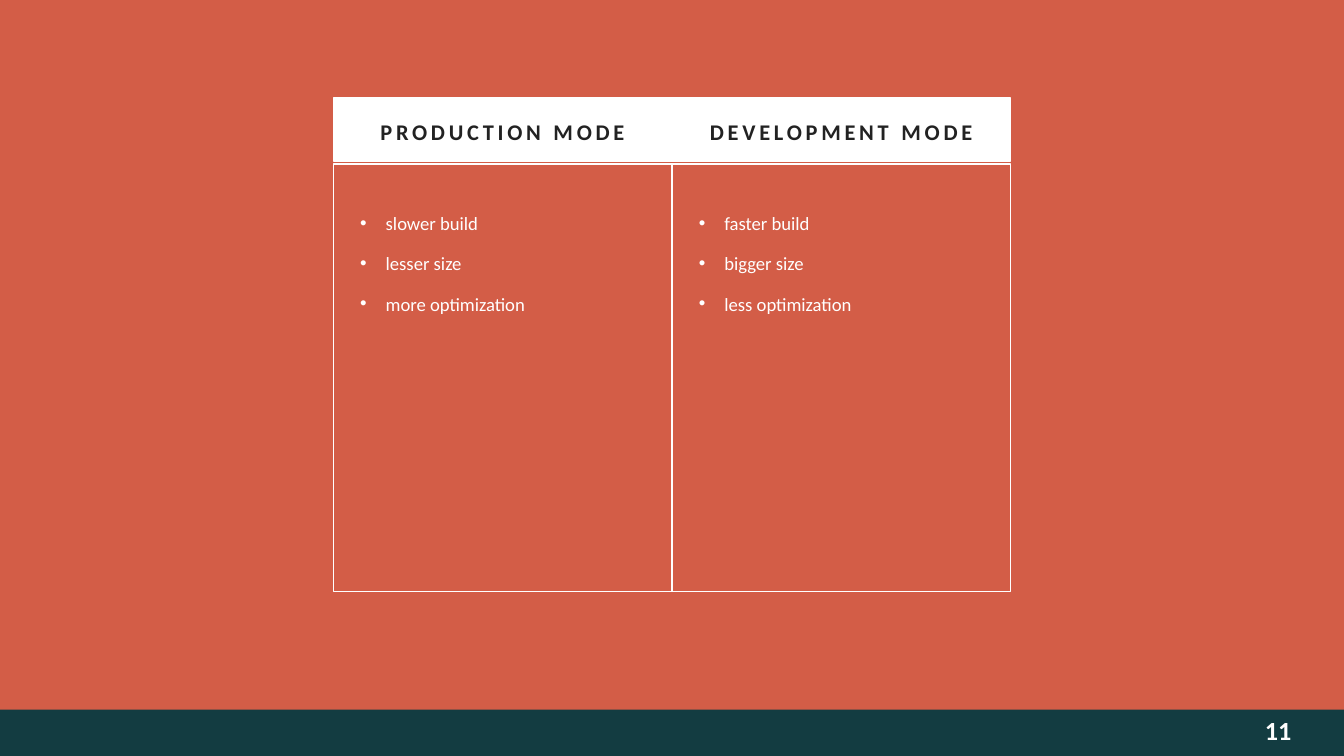
from lxml import etree
from pptx import Presentation
from pptx.dml.color import RGBColor
from pptx.enum import shapes, text
from pptx.oxml import ns
from pptx.util import Inches, Pt

MODES = [
    ("PRODUCTION MODE", ["slower build", "lesser size", "more optimization"]),
    ("DEVELOPMENT MODE", ["faster build", "bigger size", "less optimization"]),
]
SLIDE_NUMBER = "11"

CORAL = RGBColor(0xD3, 0x5D, 0x47)
TEAL = RGBColor(0x13, 0x3C, 0x41)
WHITE = RGBColor(0xFF, 0xFF, 0xFF)
OFF_WHITE = RGBColor(0xFE, 0xFE, 0xFE)
DARK = RGBColor(0x22, 0x22, 0x22)
FONT = "Calibri"

SLIDE_WIDTH = 10
SLIDE_HEIGHT = SLIDE_WIDTH * 9 / 16
COLUMN_WIDTH = 2.52
HEADER_TOP, HEADER_HEIGHT = 0.73, 0.47
BODY_TOP, BODY_HEIGHT = 1.22, 3.18
FOOTER_TOP, FOOTER_HEIGHT = 5.28, 0.35
BULLET_INDENT = 0.19


def add_box(slide, left, top, width, height, fill=None, line=None):
    shape = slide.shapes.add_shape(
        shapes.MSO_SHAPE.RECTANGLE, Inches(left), Inches(top), Inches(width), Inches(height)
    )
    shape.shadow.inherit = False
    if fill is None:
        shape.fill.background()
    else:
        shape.fill.solid()
        shape.fill.fore_color.rgb = fill
    if line is None:
        shape.line.fill.background()
    else:
        shape.line.color.rgb = line
        shape.line.width = Pt(0.75)
    return shape


def write(shape, lines, size, color, align, anchor, insets, bold=False, wrap=False):
    frame = shape.text_frame
    frame.text = "\n".join(lines)
    frame.word_wrap = wrap
    frame.vertical_anchor = anchor
    frame.margin_left, frame.margin_top, frame.margin_right, frame.margin_bottom = map(Inches, insets)
    for paragraph in frame.paragraphs:
        paragraph.alignment = align
        for run in paragraph.runs:
            run.font.name = FONT
            run.font.size = Pt(size)
            run.font.bold = bold
            run.font.color.rgb = color
    return frame.paragraphs


def space_lines(paragraphs):
    for index, paragraph in enumerate(paragraphs):
        paragraph.line_spacing = Pt(16)
        paragraph.space_before = Pt(2.6 if index else 0)
        paragraph.space_after = Pt(3)


def add_bullet(paragraph):
    properties = paragraph._p.get_or_add_pPr()
    properties.set("marL", str(Inches(BULLET_INDENT)))
    properties.set("indent", str(-Inches(BULLET_INDENT)))
    etree.SubElement(properties, ns.qn("a:buFont")).set("typeface", "Arial")
    etree.SubElement(properties, ns.qn("a:buChar")).set("char", "•")


def add_mode(slide, left, title, points):
    body = add_box(slide, left, BODY_TOP, COLUMN_WIDTH, BODY_HEIGHT, line=WHITE)
    paragraphs = write(body, points, 10, WHITE, text.PP_ALIGN.LEFT, text.MSO_ANCHOR.TOP,
                       (0.2, 0.3, 0.2, 0.3), wrap=True)
    for paragraph in paragraphs:
        add_bullet(paragraph)
    space_lines(paragraphs)

    header = add_box(slide, left, HEADER_TOP, COLUMN_WIDTH, HEADER_HEIGHT, WHITE, WHITE)
    paragraphs = write(header, [title], 12, DARK, text.PP_ALIGN.CENTER, text.MSO_ANCHOR.MIDDLE,
                       (0.1, 0, 0.1, 0), bold=True)
    space_lines(paragraphs)
    for run in paragraphs[0].runs:
        run._r.get_or_add_rPr().set("spc", "200")


def main():
    presentation = Presentation()
    presentation.slide_width = Inches(SLIDE_WIDTH)
    presentation.slide_height = Inches(SLIDE_HEIGHT)
    slide = presentation.slides.add_slide(presentation.slide_layouts[6])
    slide.background.fill.solid()
    slide.background.fill.fore_color.rgb = CORAL

    add_box(slide, 0, FOOTER_TOP, SLIDE_WIDTH, FOOTER_HEIGHT, TEAL)
    first_left = (SLIDE_WIDTH - COLUMN_WIDTH * len(MODES)) / 2
    for index, (title, points) in enumerate(MODES):
        add_mode(slide, first_left + index * COLUMN_WIDTH, title, points)

    number = slide.shapes.add_textbox(Inches(8.11), Inches(FOOTER_TOP), Inches(1.5), Inches(FOOTER_HEIGHT))
    write(number, [SLIDE_NUMBER], 14, OFF_WHITE, text.PP_ALIGN.RIGHT, text.MSO_ANCHOR.MIDDLE,
          (0.1, 0.05, 0, 0.09), bold=True)

    presentation.save("out.pptx")


if __name__ == "__main__":
    main()
